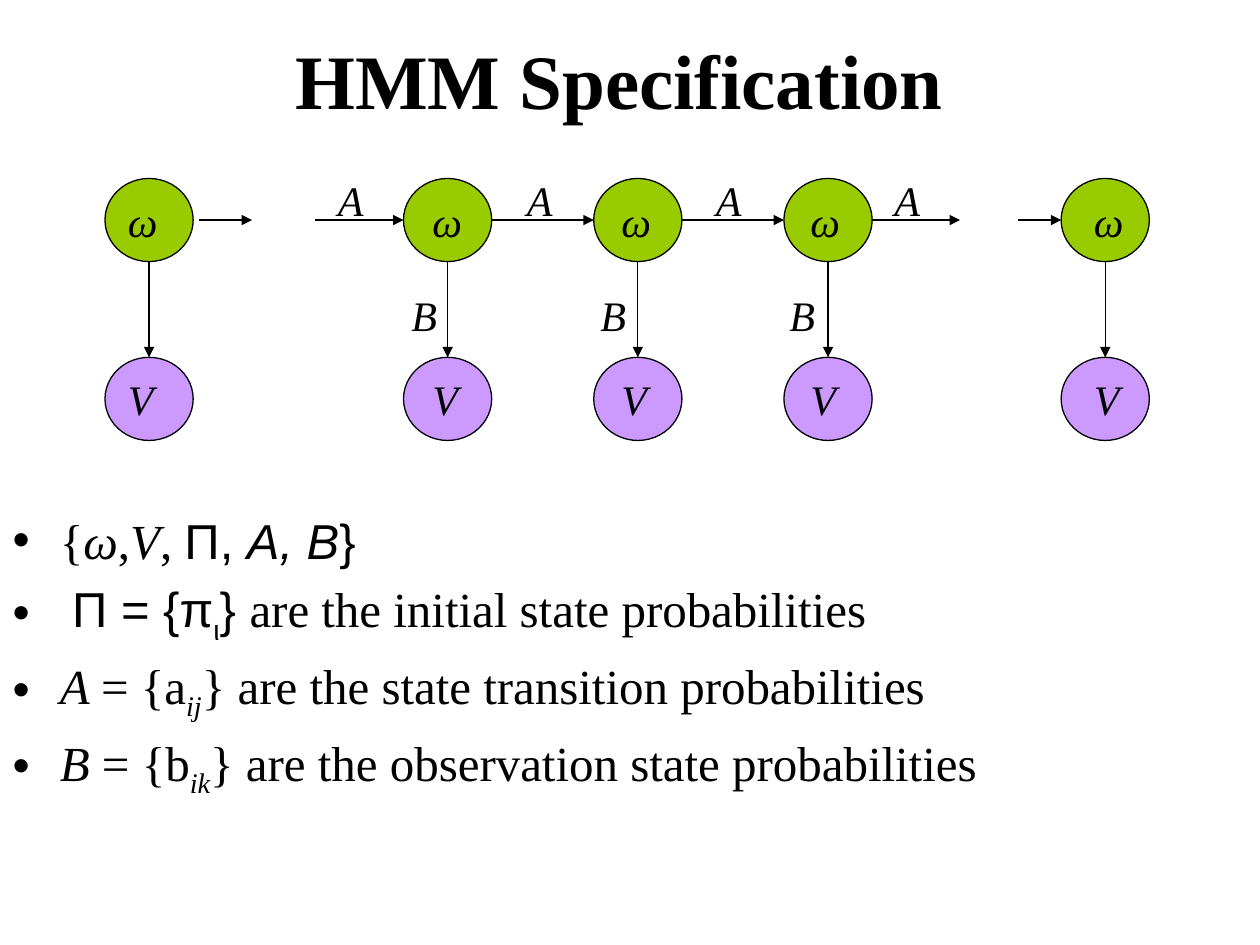
from lxml import etree
from pptx import Presentation
from pptx.dml.color import RGBColor
from pptx.enum.shapes import MSO_CONNECTOR, MSO_SHAPE
from pptx.enum.text import MSO_ANCHOR, MSO_AUTO_SIZE, PP_ALIGN
from pptx.oxml.ns import qn
from pptx.util import Pt

OVAL = MSO_SHAPE.OVAL
STRAIGHT = MSO_CONNECTOR.STRAIGHT
CENTER = PP_ALIGN.CENTER
MIDDLE, TOP = MSO_ANCHOR.MIDDLE, MSO_ANCHOR.TOP
NO_AUTOFIT = MSO_AUTO_SIZE.NONE

BLACK = RGBColor(0x00, 0x00, 0x00)
STATE_GREEN = RGBColor(0x99, 0xCC, 0x00)
VISIBLE_PURPLE = RGBColor(0xCC, 0x99, 0xFF)

SERIF, SANS = "Times New Roman", "Arial"
TITLE_FORMAT = {"name": SERIF, "size": Pt(44), "bold": True}
LABEL_FORMAT = {"name": SERIF, "size": Pt(24), "italic": True}
PLAIN = {"name": SERIF, "size": Pt(28), "italic": False}
ITALIC = {**PLAIN, "italic": True}
GREEK = {**PLAIN, "name": SANS}
GREEK_ITALIC = {**GREEK, "italic": True}
SUBSCRIPT = "-25000"

NODE_WIDTH, NODE_HEIGHT = 50.4, 47.5
ROW_STEP = 102.2
STEPS = [
    (0, 6, False),
    (170.6, 180, True),
    (279.3, 288, True),
    (388, 396, True),
    (546.4, 558, False),
]
TRANSITIONS = [
    (54, 84, None),
    (120, 170.6, 126),
    (221, 279.3, 234),
    (329.7, 388, 342),
    (438.4, 488.6, 444),
    (522, 546.4, None),
]
DEFINITIONS = [
    [("{", PLAIN), ("ω", ITALIC), (",", PLAIN), ("V", ITALIC), (", ", PLAIN),
     ("Π, ", GREEK), ("Α, Β", GREEK_ITALIC), ("}", GREEK)],
    [(" ", PLAIN), ("Π = {π", GREEK), ("ι", GREEK, SUBSCRIPT), ("} ", GREEK),
     ("are the initial state probabilities", PLAIN)],
    [("A ", ITALIC), ("= {a", PLAIN), ("ij", ITALIC, SUBSCRIPT),
     ("} are the state transition probabilities", PLAIN)],
    [("B", ITALIC), (" = {b", PLAIN), ("ik", ITALIC, SUBSCRIPT),
     ("} are the observation state probabilities", PLAIN)],
]


def place(part, left, top, width, height):
    box = {"left": left, "top": top, "width": width, "height": height}
    for side, length in box.items():
        setattr(part, side, Pt(length))


def add_run(paragraph, text, font_format, baseline=None):
    run = paragraph.add_run()
    run.text = text
    for attribute, value in font_format.items():
        setattr(run.font, attribute, value)
    run.font.color.rgb = BLACK
    if baseline:
        run._r.get_or_add_rPr().set("baseline", baseline)


def add_node(slide, left, top, color):
    node = slide.shapes.add_shape(
        OVAL, Pt(left), Pt(top), Pt(NODE_WIDTH), Pt(NODE_HEIGHT))
    node.shadow.inherit = False
    node.fill.solid()
    node.fill.fore_color.rgb = color
    node.line.color.rgb = BLACK
    node.line.width = Pt(0.75)


def add_arrow(slide, x1, y1, x2, y2):
    arrow = slide.shapes.add_connector(STRAIGHT, Pt(x1), Pt(y1), Pt(x2), Pt(y2))
    arrow.line.color.rgb = BLACK
    arrow.line.width = Pt(0.75)
    etree.SubElement(arrow.line._get_or_add_ln(), qn("a:tailEnd"), type="triangle")
    etree.SubElement(arrow._element.spPr, qn("a:effectLst"))


def add_label(slide, text, left, top, width=29):
    label = slide.shapes.add_textbox(Pt(left), Pt(top), Pt(width), Pt(36.4))
    label.text_frame.word_wrap = False
    add_run(label.text_frame.paragraphs[0], text, LABEL_FORMAT)


def fill_title(slide, left, top, width, height):
    title = slide.shapes.title
    place(title, left, top, width, height)
    title.text_frame.vertical_anchor = MIDDLE
    heading = title.text_frame.paragraphs[0]
    heading.alignment = CENTER
    add_run(heading, "HMM Specification", TITLE_FORMAT)


def draw_chain(slide, left, top):
    visible_top = top + ROW_STEP
    for node_x, label_x, has_emission in STEPS:
        node_left, label_left = left + node_x, left + label_x
        center = node_left + NODE_WIDTH / 2
        add_node(slide, node_left, top, STATE_GREEN)
        add_node(slide, node_left, visible_top, VISIBLE_PURPLE)
        add_arrow(slide, center, top + NODE_HEIGHT, center, visible_top)
        add_label(slide, "ω", label_left, top + 6, 31.7)
        add_label(slide, "V", label_left, visible_top + 6)
        if has_emission:
            add_label(slide, "B", label_left - 12, top + 60)

    middle = top + NODE_HEIGHT / 2
    for start, end, label_x in TRANSITIONS:
        add_arrow(slide, left + start, middle, left + end, middle)
        if label_x is not None:
            add_label(slide, "A", left + label_x, top - 6)


def fill_definitions(slide, left, top, width, height):
    body = slide.placeholders[1]
    place(body, left, top, width, height)
    frame = body.text_frame
    frame.auto_size = NO_AUTOFIT
    frame.vertical_anchor = TOP
    for index, pieces in enumerate(DEFINITIONS):
        definition = frame.add_paragraph() if index else frame.paragraphs[0]
        for piece in pieces:
            add_run(definition, *piece)


def main():
    deck = Presentation()
    deck.slide_width, deck.slide_height = Pt(720), Pt(540)
    slide = deck.slides.add_slide(deck.slide_layouts[1])
    fill_title(slide, 48, 0, 612, 90)
    fill_definitions(slide, 0, 288, 720, 252)
    draw_chain(slide, 60, 102)
    deck.save("out.pptx")


if __name__ == "__main__":
    main()
